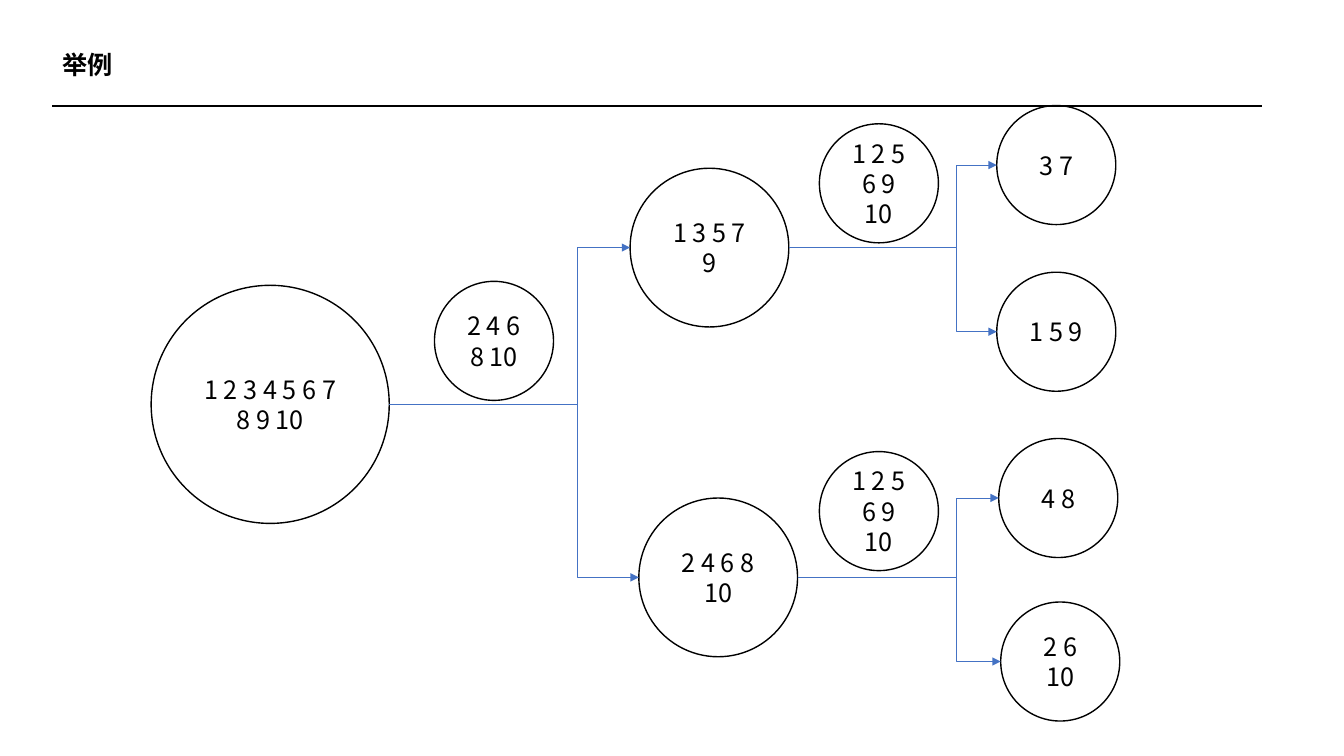
from dataclasses import dataclass

from lxml import etree
from pptx import Presentation
from pptx import util as u
from pptx.dml.color import RGBColor
from pptx.enum import shapes, text
from pptx.oxml.ns import qn
from pptx.shapes.connector import Connector
from pptx.slide import Slide
from pptx.text.text import TextFrame

COLOURS = {"ink": "000000", "branch": "4472C4"}
FONT = "Noto Sans CJK SC"
FIRST_BEND, SECOND_BEND = 14.55, 24.11


@dataclass(frozen=True)
class Circle:
    label: str
    left: float
    top: float
    diameter: float

    @property
    def right(self) -> float:
        return self.left + self.diameter

    @property
    def middle(self) -> float:
        return self.top + self.diameter / 2


@dataclass(frozen=True)
class Branch:
    parent: Circle
    children: tuple[Circle, Circle]
    bend: float


ROOT = Circle("1 2 3 4 5 6 7 8 9 10", 3.81, 7.19, 6)
ODD = Circle("1 3 5 7 9", 15.88, 4.24, 4)
EVEN = Circle("2 4 6 8 10", 16.1, 12.55, 4)
ODD_LEAVES = (Circle("3 7", 25.12, 2.66, 3), Circle("1 5 9", 25.12, 6.86, 3))
EVEN_LEAVES = (Circle("4 8", 25.17, 11.05, 3), Circle("2 6 10", 25.22, 15.17, 3))
SPLITS = (
    Circle("2 4 6 8 10", 10.95, 7.09, 3),
    Circle("1 2 5 6 9 10", 20.65, 3.12, 3),
    Circle("1 2 5 6 9 10", 20.65, 11.38, 3),
)
CIRCLES = (ROOT, ODD, EVEN, *SPLITS, *ODD_LEAVES, *EVEN_LEAVES)
BRANCHES = (
    Branch(ROOT, (ODD, EVEN), FIRST_BEND),
    Branch(ODD, ODD_LEAVES, SECOND_BEND),
    Branch(EVEN, EVEN_LEAVES, SECOND_BEND),
)


def colour(name: str) -> RGBColor:
    return RGBColor.from_string(COLOURS[name])


def write_text(text_frame: TextFrame, content: str, alignment: text.PP_ALIGN, bold: bool = False) -> None:
    text_frame.text = content
    text_frame.word_wrap = True
    paragraph = text_frame.paragraphs[0]
    paragraph.alignment = alignment
    paragraph.line_spacing = 1.0
    font = paragraph.runs[0].font
    font.name = FONT
    font.size = u.Pt(18)
    font.bold = bold
    font.color.rgb = colour("ink")
    latin = font._element.find(qn("a:latin"))
    east_asian = etree.Element(qn("a:ea"), typeface=FONT)
    latin.addnext(east_asian)


def add_title(slide: Slide) -> None:
    title = slide.shapes.title
    title.left, title.top = u.Cm(1.32), u.Cm(1.12)
    title.width, title.height = u.Cm(6.27), u.Cm(1.03)
    write_text(title.text_frame, "举例", text.PP_ALIGN.LEFT, bold=True)
    title.text_frame.vertical_anchor = text.MSO_ANCHOR.TOP
    title.text_frame.auto_size = text.MSO_AUTO_SIZE.SHAPE_TO_FIT_TEXT


def add_line(
    slide: Slide,
    kind: shapes.MSO_CONNECTOR,
    start: tuple[float, float],
    end: tuple[float, float],
    colour_name: str,
    width: float,
) -> Connector:
    connector = slide.shapes.add_connector(kind, *(u.Cm(value) for value in (*start, *end)))
    connector.line.color.rgb = colour(colour_name)
    connector.line.width = u.Pt(width)
    etree.SubElement(connector._element.spPr, qn("a:effectLst"))
    return connector


def add_circle(slide: Slide, circle: Circle) -> None:
    diameter = u.Cm(circle.diameter)
    shape = slide.shapes.add_shape(
        shapes.MSO_SHAPE.OVAL, u.Cm(circle.left), u.Cm(circle.top), diameter, diameter
    )
    shape.shadow.inherit = False
    shape.fill.background()
    shape.line.color.rgb = colour("ink")
    shape.line.width = u.Pt(1)
    shape.text_frame.vertical_anchor = text.MSO_ANCHOR.MIDDLE
    write_text(shape.text_frame, circle.label, text.PP_ALIGN.CENTER)


def add_branch(slide: Slide, branch: Branch) -> None:
    parent = branch.parent
    for child in branch.children:
        connector = add_line(
            slide,
            shapes.MSO_CONNECTOR.ELBOW,
            (parent.right, parent.middle),
            (child.left, child.middle),
            "branch",
            0.5,
        )
        ratio = (branch.bend - parent.right) / (child.left - parent.right)
        properties = connector._element.spPr
        geometry = properties.find(qn("a:prstGeom"))
        adjustments = geometry.find(qn("a:avLst"))
        if adjustments is None:
            adjustments = etree.SubElement(geometry, qn("a:avLst"))
        etree.SubElement(adjustments, qn("a:gd"), name="adj1", fmla=f"val {round(ratio * 100000)}")
        etree.SubElement(properties.find(qn("a:ln")), qn("a:tailEnd"), type="triangle")


def main() -> None:
    presentation = Presentation()
    presentation.slide_width, presentation.slide_height = u.Cm(33.87), u.Cm(19.05)
    slide = presentation.slides.add_slide(presentation.slide_layouts.get_by_name("Title Only"))
    add_line(slide, shapes.MSO_CONNECTOR.STRAIGHT, (1.32, 2.66), (31.8, 2.66), "ink", 1.5)
    add_title(slide)
    for circle in CIRCLES:
        add_circle(slide, circle)
    for branch in BRANCHES:
        add_branch(slide, branch)
    presentation.save("out.pptx")


if __name__ == "__main__":
    main()
